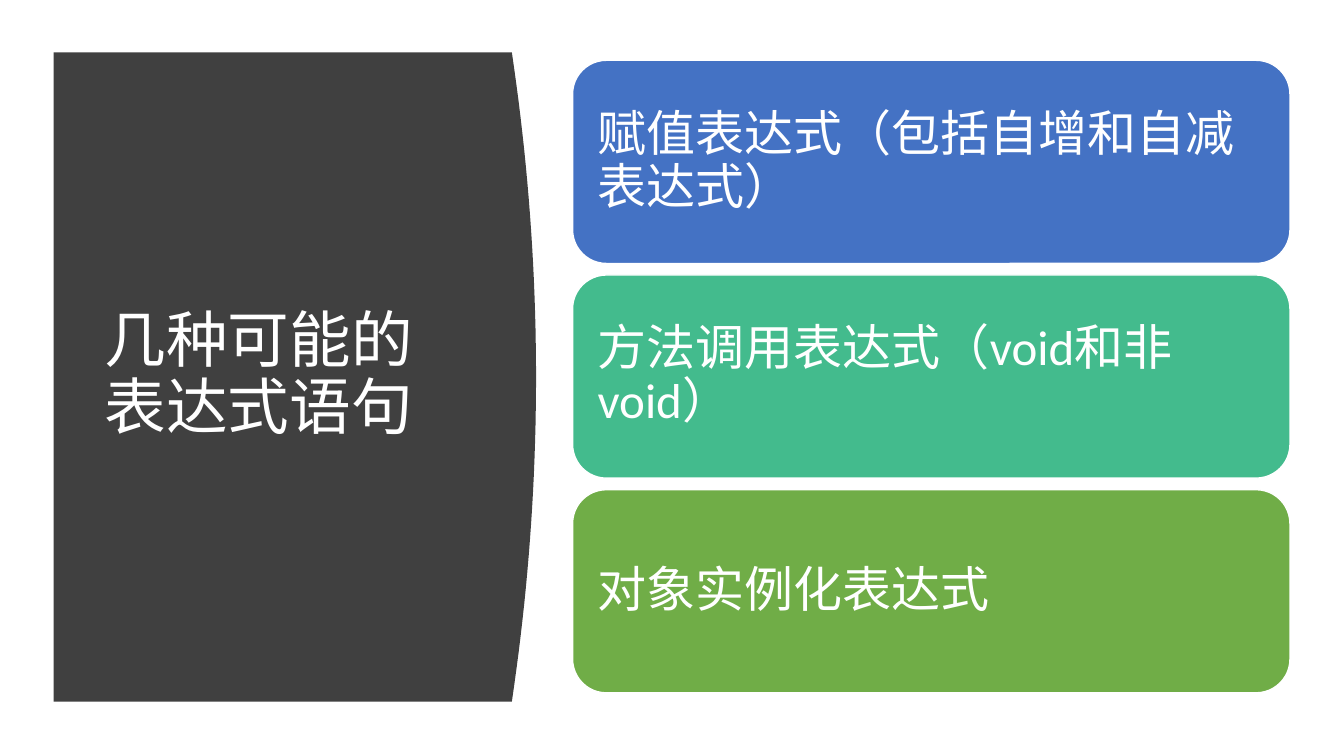
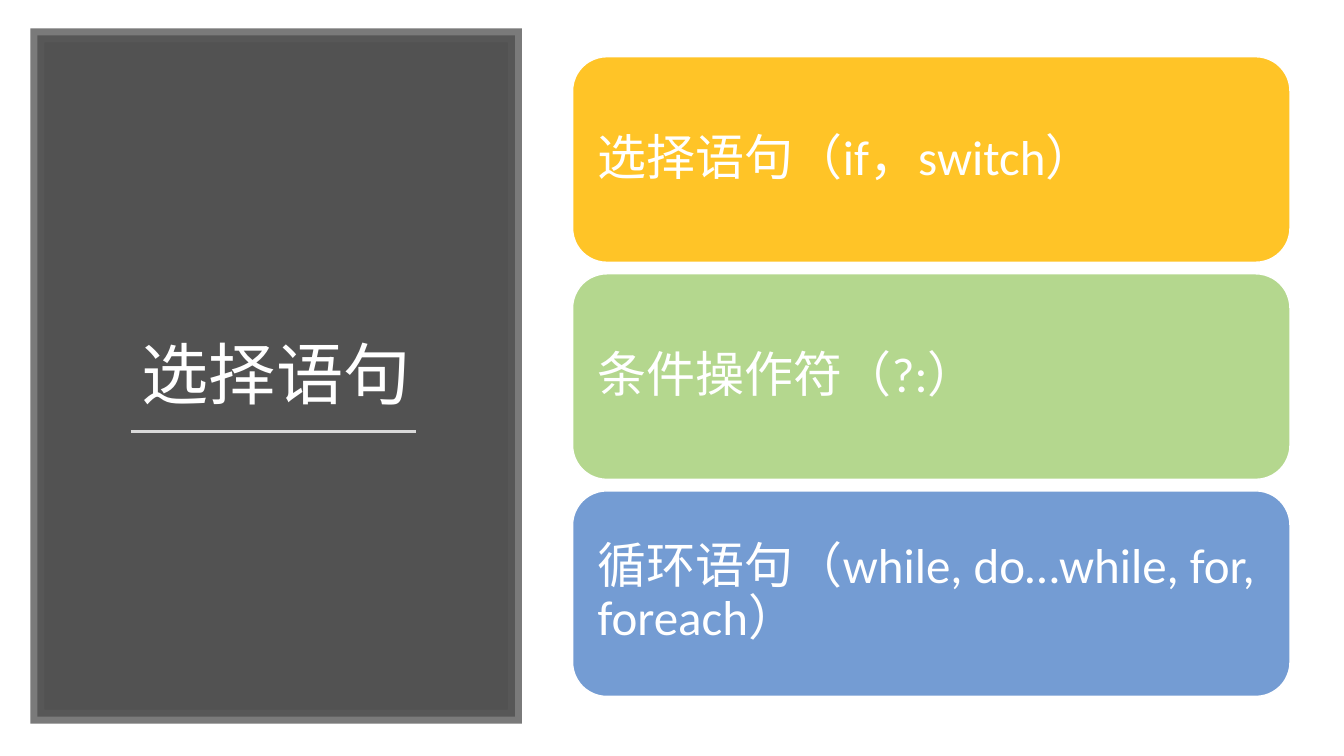
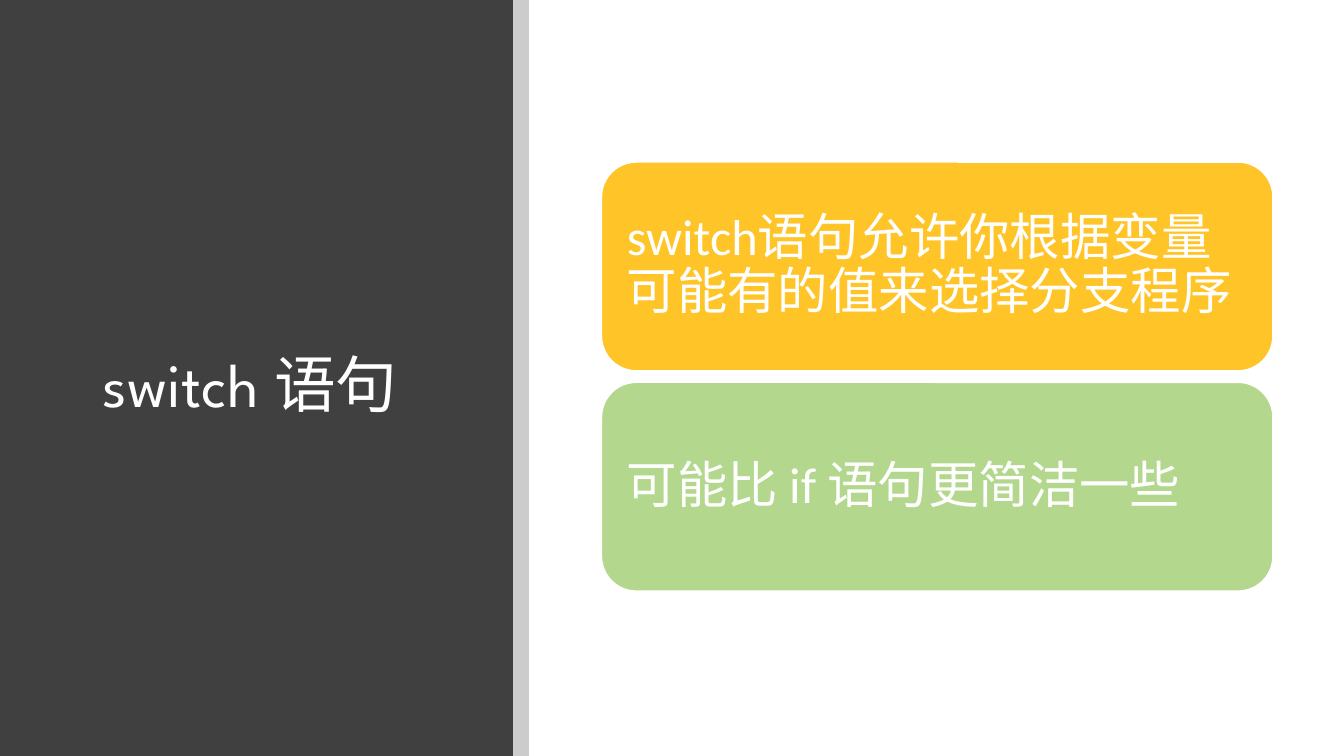
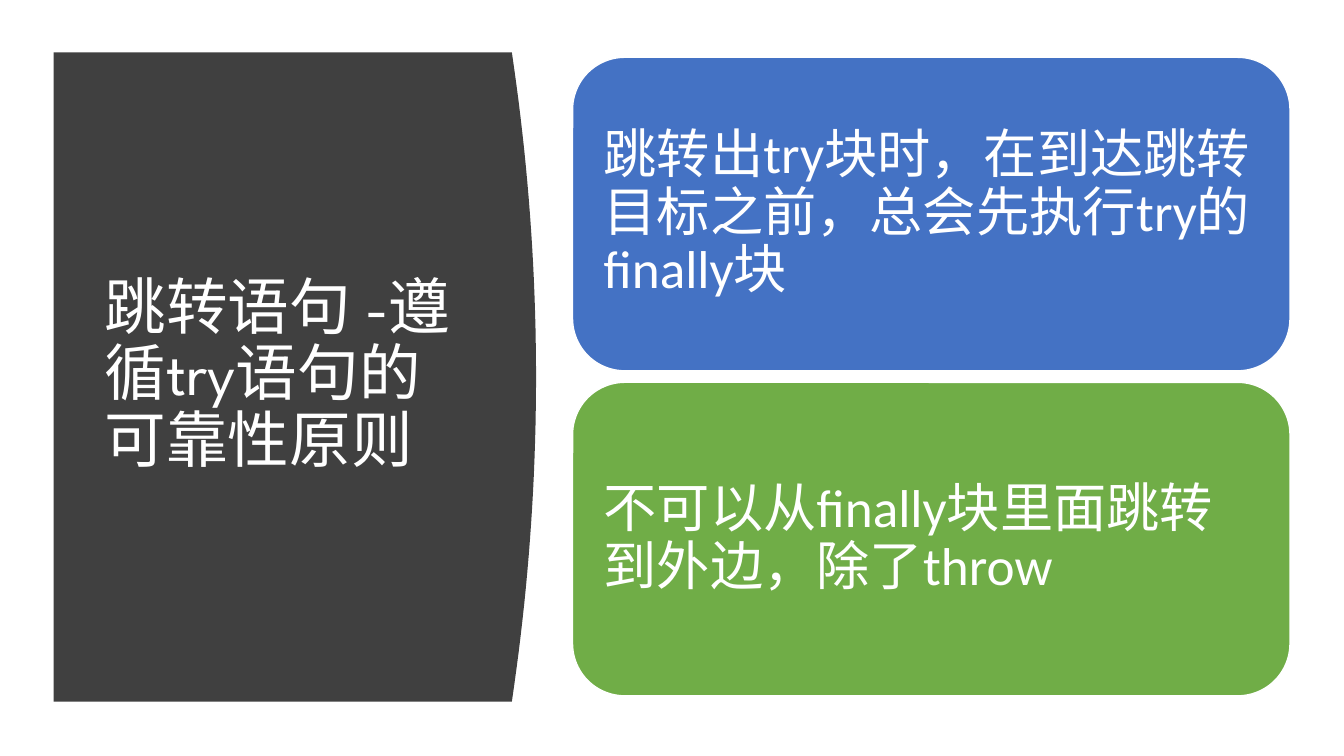
"""Build four slides on C# statements with a dark title panel and stacked cards."""
from lxml import etree
from pptx import Presentation
from pptx import util as u
from pptx.dml.color import RGBColor
from pptx.enum import shapes, text
from pptx.oxml.ns import qn

WHITE = RGBColor(0xFF, 0xFF, 0xFF)
BLACK = RGBColor(0x00, 0x00, 0x00)
CHARCOAL = RGBColor(0x40, 0x40, 0x40)
FRAME_GRAY = RGBColor(0x59, 0x59, 0x59)
RULE_GRAY = RGBColor(0xD9, 0xD9, 0xD9)
BLUE = RGBColor(0x44, 0x72, 0xC4)
TEAL = RGBColor(0x43, 0xBB, 0x8D)
GREEN = RGBColor(0x70, 0xAD, 0x47)
AMBER = RGBColor(0xFF, 0xC4, 0x27)
LIME = RGBColor(0xB4, 0xD7, 0x8E)
SKY = RGBColor(0x74, 0x9C, 0xD3)


class Deck:
    """Hold the shared style and the current slide."""

    title_font = "League Spartan"
    body_font = "Calibri"
    width, height = 33.87, 19.05
    card_left, card_width = 14.43, 18.08
    card_gap, card_middle = 0.29, 9.49

    def __init__(self):
        self.presentation = Presentation()
        self.presentation.slide_width = u.Cm(self.width)
        self.presentation.slide_height = u.Cm(self.height)
        self.slide = None

    def new_slide(self):
        self.slide = self.presentation.slides.add_slide(self.presentation.slide_layouts[6])

    def set_alpha(self, fill_parent, percent):
        color = fill_parent.find(qn("a:solidFill"))[0]
        etree.SubElement(color, qn("a:alpha"), val=str(percent * 1000))

    def paint(self, shape, color):
        shape.shadow.inherit = False
        shape.fill.solid()
        shape.fill.fore_color.rgb = color
        shape.line.fill.background()

    def set_text(self, shape, content, font, size, anchor, align):
        frame = shape.text_frame
        frame.word_wrap = True
        frame.vertical_anchor = anchor
        frame.text = content
        paragraph = frame.paragraphs[0]
        paragraph.alignment = align
        paragraph.line_spacing = 0.9
        for run in paragraph.runs:
            run.font.name = font
            run.font.size = u.Pt(size)
            run.font.color.rgb = WHITE

    def title(self, content, left, top, width, height, size=44,
              anchor=text.MSO_ANCHOR.MIDDLE, align=text.PP_ALIGN.LEFT):
        box = self.slide.shapes.add_textbox(u.Cm(left), u.Cm(top), u.Cm(width), u.Cm(height))
        self.set_text(box, content, self.title_font, size, anchor, align)

    def block(self, left, top, width, height, color, alpha=100,
              kind=shapes.MSO_SHAPE.RECTANGLE):
        shape = self.slide.shapes.add_shape(
            kind, u.Cm(left), u.Cm(top), u.Cm(width), u.Cm(height))
        self.paint(shape, color)
        if alpha < 100:
            self.set_alpha(shape._element.spPr, alpha)
        return shape

    def frame(self, shape, color, width, alpha):
        shape.line.color.rgb = color
        shape.line.width = u.Pt(width)
        outline = shape._element.spPr.find(qn("a:ln"))
        self.set_alpha(outline, alpha)
        etree.SubElement(outline, qn("a:miter"), lim="800000")

    def rule(self, left, right, y):
        line = self.slide.shapes.add_connector(
            shapes.MSO_CONNECTOR.STRAIGHT, u.Cm(left), u.Cm(y), u.Cm(right), u.Cm(y))
        line.line.color.rgb = RULE_GRAY
        line.line.width = u.Pt(1.75)
        etree.SubElement(line._element.spPr, qn("a:effectLst"))

    def curved_panel(self, content):
        left, top, right, bottom, bulge, steps = 1.35, 1.32, 12.9, 17.68, 0.61, 40
        edge = [(right + bulge * 4 * t * (1 - t), top + (bottom - top) * t)
                for t in (step / steps for step in range(steps + 1))]
        builder = self.slide.shapes.build_freeform(u.Cm(left), u.Cm(top))
        builder.add_line_segments(
            [(u.Cm(x), u.Cm(y)) for x, y in edge + [(left, bottom)]], close=True)
        self.paint(builder.convert_to_shape(), CHARCOAL)
        self.title(content, 2.39, 2.82, 9.5, 13.31)

    def cards(self, items, height, size, inset=0.38, left=card_left, width=card_width):
        pitch = height + self.card_gap
        top = self.card_middle - (len(items) * pitch - self.card_gap) / 2
        for index, (content, color) in enumerate(items):
            card = self.block(left, top + index * pitch, width, height, color,
                              kind=shapes.MSO_SHAPE.ROUNDED_RECTANGLE)
            card.line.color.rgb = WHITE
            card.line.width = u.Pt(1)
            frame = card.text_frame
            frame.margin_left = frame.margin_right = u.Cm(inset)
            frame.margin_top = frame.margin_bottom = u.Cm(inset)
            self.set_text(card, content, self.body_font, size,
                          text.MSO_ANCHOR.MIDDLE, text.PP_ALIGN.LEFT)


def main():
    deck = Deck()

    deck.new_slide()
    deck.curved_panel("几种可能的表达式语句")
    deck.cards([("赋值表达式（包括自增和自减表达式）", BLUE),
                ("方法调用表达式（void和非void）", TEAL),
                ("对象实例化表达式", GREEN)], height=5.12, size=35)

    deck.new_slide()
    panel = deck.block(0.94, 0.89, 12.04, 17.17, CHARCOAL, alpha=90)
    deck.frame(panel, FRAME_GRAY, width=10, alpha=80)
    deck.title("选择语句", 1.88, 2.54, 10.16, 8.03, size=48,
               anchor=text.MSO_ANCHOR.BOTTOM, align=text.PP_ALIGN.CENTER)
    deck.rule(3.3, 10.49, 10.87)
    deck.cards([("选择语句（if，switch）", AMBER),
                ("条件操作符（?:）", LIME),
                ("循环语句（while, do…while, for, foreach）", SKY)], height=5.18, size=35)

    deck.new_slide()
    deck.block(0, 0, 12.93, deck.height, CHARCOAL)
    deck.title("switch 语句", 2.34, 2.26, 9.27, 15.01)
    deck.block(12.93, 0, 0.4, deck.height, BLACK, alpha=20)
    deck.cards([("switch语句允许你根据变量可能有的值来选择分支程序", AMBER),
                ("可能比 if 语句更简洁一些", LIME)],
               height=5.26, size=36, left=15.16, width=16.92)

    deck.new_slide()
    deck.curved_panel("跳转语句 -遵循try语句的可靠性原则")
    deck.cards([("跳转出try块时，在到达跳转目标之前，总会先执行try的finally块", BLUE),
                ("不可以从finally块里面跳转到外边，除了throw", GREEN)],
               height=7.9, size=38, inset=0.4)

    deck.presentation.save("out.pptx")


if __name__ == "__main__":
    main()
